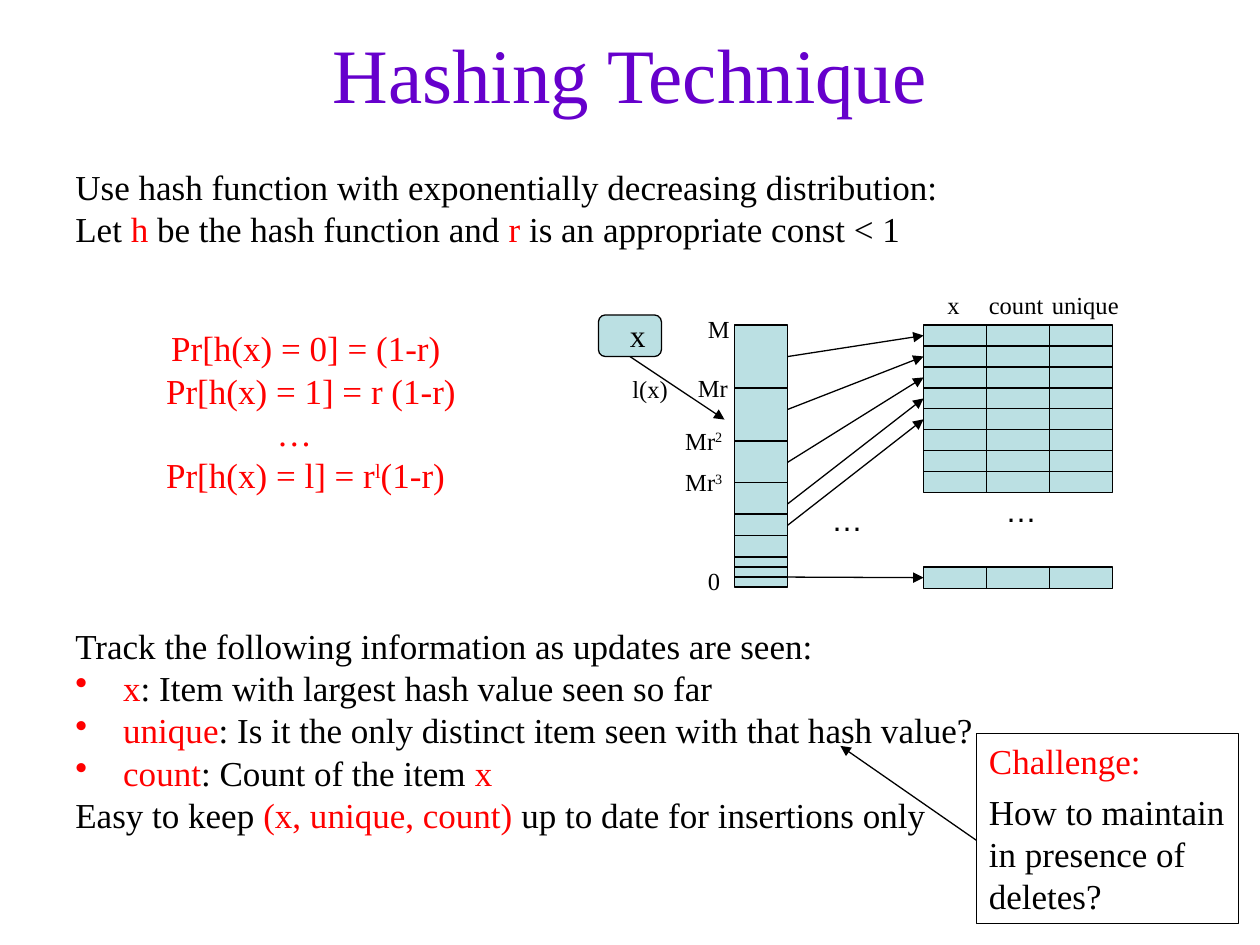
from typing import NamedTuple, Optional, Sequence

from lxml.etree import SubElement
from pptx import Presentation
from pptx.dml.color import RGBColor
from pptx.enum.shapes import MSO_CONNECTOR, MSO_SHAPE
from pptx.enum.text import MSO_ANCHOR, PP_ALIGN
from pptx.oxml.ns import qn
from pptx.shapes.autoshape import Shape
from pptx.shapes.connector import Connector
from pptx.slide import Slide
from pptx.text.text import TextFrame
from pptx.util import Inches, Pt

BLACK, RED, PURPLE, TEAL = "000000", "FF0000", "6600CC", "BBE0E3"
SERIF, SANS = "Times New Roman", "Arial"


class Run(NamedTuple):
    text: str
    color: str = BLACK
    superscript: bool = False


class Line(NamedTuple):
    runs: Sequence[Run]
    indent: float = 0
    bullet: bool = False


class Box(NamedTuple):
    left: float
    top: float
    width: float
    height: float


class Label(NamedTuple):
    box: Box
    runs: Sequence[Run]
    size: float = 14
    font: str = SERIF


def rgb(value: str) -> RGBColor:
    """Turn a hex string into a colour."""
    return RGBColor.from_string(value)


def write_lines(frame: TextFrame, lines: Sequence[Line], size: float, font: str = SERIF,
                spacing: float = 1.0, before: float = 0,
                align: PP_ALIGN = PP_ALIGN.LEFT) -> None:
    """Fill a text frame with one paragraph for each line."""
    for index, line in enumerate(lines):
        paragraph = frame.paragraphs[0] if index == 0 else frame.add_paragraph()
        paragraph.alignment = align
        paragraph.font.size = Pt(size)
        paragraph.font.name = font
        paragraph.line_spacing = spacing
        paragraph.space_before = Pt(before)
        properties = paragraph._p.get_or_add_pPr()
        properties.set("marL", str(Inches(line.indent)))
        if line.bullet:
            properties.set("indent", str(-Inches(line.indent)))
            color = SubElement(properties, qn("a:buClr"))
            SubElement(color, qn("a:srgbClr")).set("val", RED)
            SubElement(properties, qn("a:buChar")).set("char", "•")
            defaults = properties.find(qn("a:defRPr"))
            properties.append(defaults)
        for part in line.runs:
            run = paragraph.add_run()
            run.text = part.text
            run.font.color.rgb = rgb(part.color)
            if part.superscript:
                run._r.get_or_add_rPr().set("baseline", "30000")


def add_text(slide: Slide, box: Box) -> TextFrame:
    """Add a text box and return its frame."""
    frame = slide.shapes.add_textbox(*map(Inches, box)).text_frame
    frame.word_wrap = True
    return frame


def add_block(slide: Slide, box: Box, kind: MSO_SHAPE = MSO_SHAPE.RECTANGLE,
              fill: Optional[str] = TEAL) -> Shape:
    """Add an outlined shape, filled unless fill is None."""
    shape = slide.shapes.add_shape(kind, *map(Inches, box))
    shape.shadow.inherit = False
    if fill:
        shape.fill.solid()
        shape.fill.fore_color.rgb = rgb(fill)
    else:
        shape.fill.background()
    shape.line.color.rgb = rgb(BLACK)
    shape.line.width = Pt(0.75)
    return shape


def add_line(slide: Slide, x1: float, y1: float, x2: float, y2: float,
             arrow: bool = False) -> Connector:
    """Add a thin black line, with an arrowhead at its end if asked."""
    connector = slide.shapes.add_connector(
        MSO_CONNECTOR.STRAIGHT, Inches(x1), Inches(y1), Inches(x2), Inches(y2))
    connector.line.color.rgb = rgb(BLACK)
    connector.line.width = Pt(0.75)
    if arrow:
        SubElement(connector.line._get_or_add_ln(), qn("a:tailEnd")).set("type", "triangle")
    SubElement(connector._element.spPr, qn("a:effectLst"))
    return connector


def add_grid(slide: Slide, box: Box, rows: int, columns: int) -> Shape:
    """Add a block divided into equal rows and columns."""
    block = add_block(slide, box)
    right, bottom = box.left + box.width, box.top + box.height
    for column in range(1, columns):
        x = box.left + box.width * column / columns
        add_line(slide, x, box.top, x, bottom)
    for row in range(1, rows):
        y = box.top + box.height * row / rows
        add_line(slide, box.left, y, right, y)
    return block


def draw_hash_diagram(slide: Slide) -> None:
    """Draw the hash range, the item, the counter table and their arrows."""
    hash_range = Box(5.83, 2.58, 0.42, 2.08)
    table = Box(7.33, 2.58, 1.5, 1.33)
    range_right = hash_range.left + hash_range.width
    add_block(slide, hash_range)
    for y in (3.08, 3.5, 3.83, 4.08, 4.25, 4.42, 4.5, 4.58):
        add_line(slide, hash_range.left, y, range_right, y)
    add_grid(slide, table, 8, 3)
    last_row = add_grid(slide, Box(table.left, 4.5, table.width, 0.17), 1, 3)
    item = add_block(slide, Box(4.75, 2.5, 0.5, 0.33), MSO_SHAPE.FLOWCHART_ALTERNATE_PROCESS)

    for row, y in enumerate((2.83, 3.25, 3.67, 4, 4.17)):
        row_middle = table.top + table.height * (row + 0.5) / 8
        add_line(slide, range_right, y, table.left, row_middle, arrow=True)
    add_line(slide, range_right, 4.58, table.left, 4.58, arrow=True).end_connect(last_row, 1)
    add_line(slide, 5, 2.83, 5.75, 3.33, arrow=True).begin_connect(item, 2)

    labels = (
        Label(Box(7.42, 2.25, 0.3, 0.34), [Run("x")]),
        Label(Box(7.75, 2.25, 0.7, 0.34), [Run("count")]),
        Label(Box(8.25, 2.25, 0.81, 0.34), [Run("unique")]),
        Label(Box(4.9, 2.46, 0.32, 0.4), [Run("x")], 18),
        Label(Box(7.88, 3.85, 0.45, 0.4), [Run("…")], 18, SANS),
        Label(Box(6.5, 3.92, 0.45, 0.4), [Run("…")], 18, SANS),
        Label(Box(5.52, 2.44, 0.37, 0.34), [Run("M")]),
        Label(Box(5.44, 2.91, 0.5, 0.34), [Run("Mr")]),
        Label(Box(5.34, 3.33, 0.6, 0.34), [Run("Mr"), Run("2", superscript=True)]),
        Label(Box(5.34, 3.66, 0.6, 0.34), [Run("Mr"), Run("3", superscript=True)]),
        Label(Box(5.52, 4.44, 0.3, 0.34), [Run("0")]),
        Label(Box(4.92, 2.92, 0.55, 0.34), [Run("l(x)")]),
    )
    for label in labels:
        write_lines(add_text(slide, label.box), [Line(label.runs)], label.size, label.font)


def main() -> None:
    """Build the slide and save it."""
    presentation = Presentation()
    presentation.slide_width, presentation.slide_height = Inches(10), Inches(7.5)
    slide = presentation.slides.add_slide(presentation.slide_layouts[6])

    title = add_text(slide, Box(0.5, 0.08, 9, 1))
    title.vertical_anchor = MSO_ANCHOR.MIDDLE
    write_lines(title, [Line([Run("Hashing Technique", PURPLE)])], 44, align=PP_ALIGN.CENTER)

    introduction = [
        Line([Run("Use hash function with exponentially decreasing distribution:")]),
        Line([Run("Let "), Run("h", RED), Run(" be the hash function and "), Run("r", RED),
              Run(" is an appropriate const < 1")]),
    ]
    formulas = [
        Line([Run("Pr[h(x) = 0] = (1-r)", RED)], 0.04),
        Line([Run("Pr[h(x) = 1] = r (1-r)", RED)]),
        Line([Run("…", RED)], 0.88),
        Line([Run("Pr[h(x) = l] = r", RED), Run("l", RED, True), Run("(1-r)", RED)]),
    ]
    tracking = [
        Line([Run("Track the following information as updates are seen:")]),
        Line([Run("x", RED), Run(": Item with largest hash value seen so far")], 0.38, True),
        Line([Run("unique", RED),
              Run(": Is it the only distinct item seen with that hash value?")], 0.38, True),
        Line([Run("count", RED), Run(": Count of the item "), Run("x", RED)], 0.38, True),
        Line([Run("Easy to keep "), Run("(x, unique, count)", RED),
              Run(" up to date for insertions only")]),
    ]
    for box, lines in ((Box(0.5, 1.33, 9, 0.8), introduction),
                       (Box(1.22, 2.61, 3.2, 1.5), formulas),
                       (Box(0.5, 4.97, 9, 1.8), tracking)):
        write_lines(add_text(slide, box), lines, 20, spacing=0.8, before=5)

    draw_hash_diagram(slide)

    challenge = add_block(slide, Box(7.75, 5.82, 2.08, 1.51), fill=None).text_frame
    challenge.word_wrap = True
    challenge.vertical_anchor = MSO_ANCHOR.TOP
    write_lines(challenge, [Line([Run("Challenge:", RED)]),
                            Line([Run("How to maintain in presence of deletes?")])], 20, before=5)
    add_line(slide, 7.75, 6.67, 6.67, 5.92, arrow=True)
    presentation.save("out.pptx")


if __name__ == "__main__":
    main()
